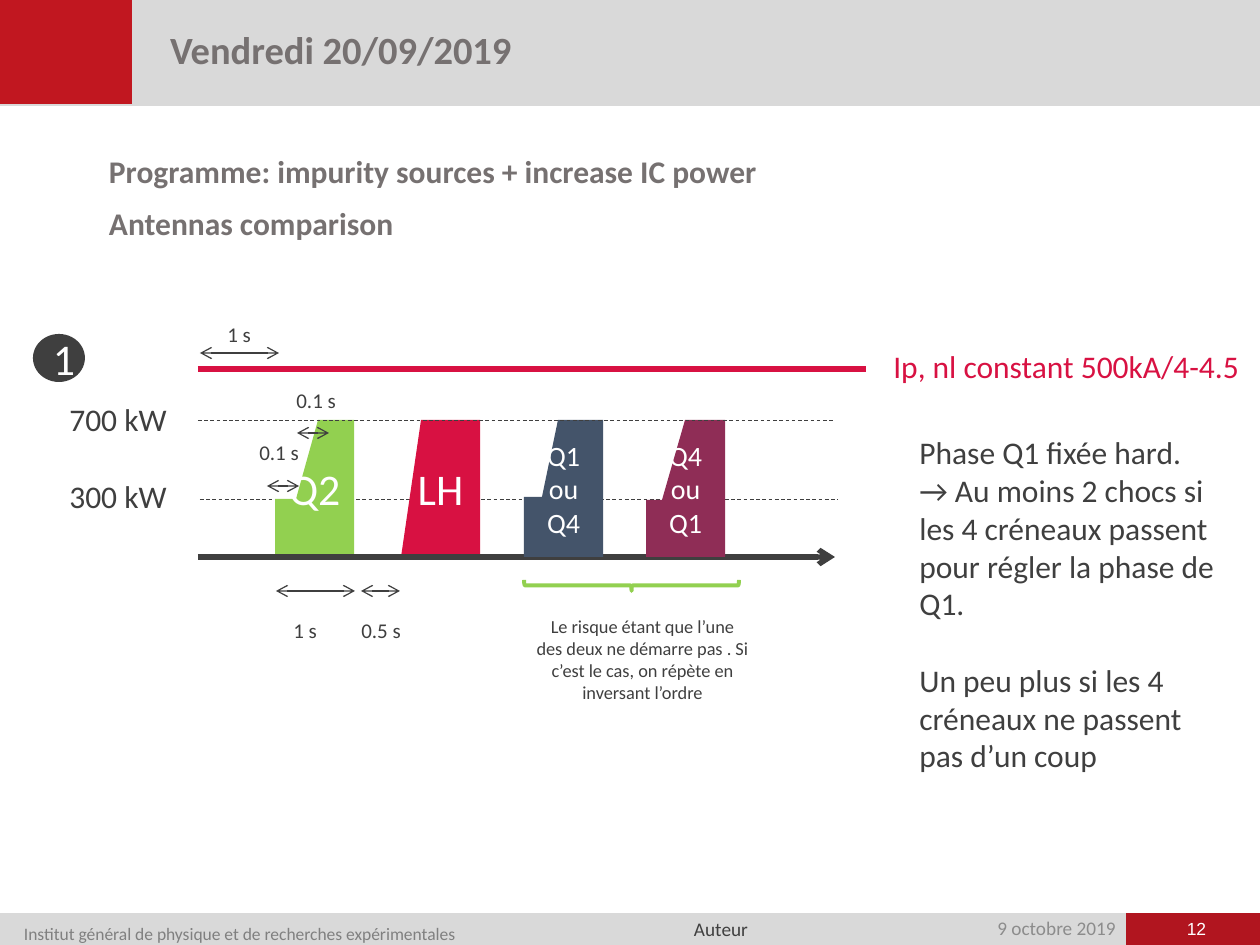
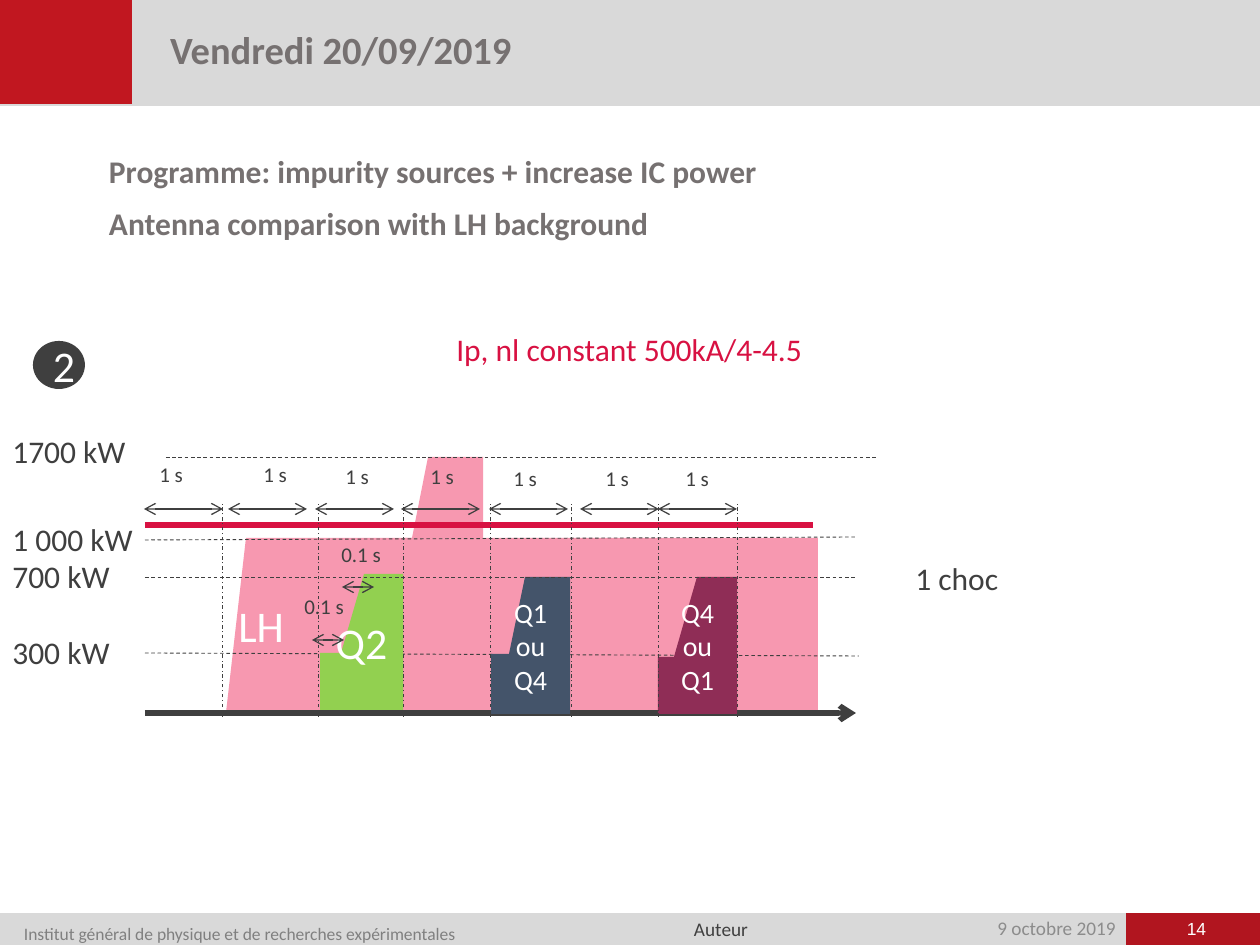
from pptx import Presentation
from pptx.dml.color import RGBColor
from pptx.enum.dml import MSO_LINE
from pptx.enum.shapes import MSO_CONNECTOR, MSO_SHAPE
from pptx.enum.text import MSO_ANCHOR, MSO_AUTO_SIZE, PP_ALIGN
from pptx.oxml.ns import qn
from pptx.util import Pt
from lxml import etree

DASH, DASH_DOT = MSO_LINE.DASH, MSO_LINE.DASH_DOT
STRAIGHT = MSO_CONNECTOR.STRAIGHT
RECT, OVAL, BRACE = MSO_SHAPE.RECTANGLE, MSO_SHAPE.OVAL, MSO_SHAPE.RIGHT_BRACE
LEFT, CENTER, RIGHT = PP_ALIGN.LEFT, PP_ALIGN.CENTER, PP_ALIGN.RIGHT
MIDDLE = MSO_ANCHOR.MIDDLE
FIXED, GROW = MSO_AUTO_SIZE.NONE, MSO_AUTO_SIZE.SHAPE_TO_FIT_TEXT

# Colours
WHITE = RGBColor(0xFF, 0xFF, 0xFF)
BAND_GREY = RGBColor(0xD9, 0xD9, 0xD9)
CORNER_RED = RGBColor(0xC1, 0x17, 0x20)
NUMBER_RED = RGBColor(0xB1, 0x15, 0x1F)
TITLE_GREY = RGBColor(0x76, 0x71, 0x71)
DATE_GREY = RGBColor(0x8C, 0x8C, 0x8C)
FOOTER_GREY = RGBColor(0x80, 0x80, 0x80)
INK = RGBColor(0x3F, 0x3F, 0x3F)
CRIMSON = RGBColor(0xD8, 0x11, 0x42)
PINK = RGBColor(0xF7, 0x98, 0xB0)
GREEN = RGBColor(0x92, 0xD0, 0x50)
SLATE = RGBColor(0x44, 0x54, 0x6A)
PLUM = RGBColor(0x8F, 0x2D, 0x56)

SCALE = 914400 / 126  # EMU in one px
FOOTER_INSETS = (10, 0)
HEADING_INSETS = (18, 9)
PULSE_HEIGHT = 137
SECOND = 79  # px along the time axis


def px(*lengths):
    return [round(length * SCALE) for length in lengths]


def set_all(target, values):
    for name, value in values.items():
        setattr(target, name, value)


def fill_text(frame, paragraphs, size, color, bold=False, font="Calibri",
              insets=None, **layout):
    """Write the paragraphs; layout holds paragraph format values."""
    frame.word_wrap = True
    if insets:
        side, top = px(*insets)
        set_all(frame, {"margin_left": side, "margin_right": side,
                        "margin_top": top, "margin_bottom": top})
    for index, words in enumerate(paragraphs):
        paragraph = frame.paragraphs[0] if index == 0 else frame.add_paragraph()
        set_all(paragraph, {"alignment": LEFT, **layout})
        run = paragraph.add_run()
        run.text = words
        set_all(run.font, {"size": Pt(size), "name": font, "bold": bold})
        run.font.color.rgb = color


def add_text(slide, box, paragraphs, size, color=INK, wrap=True, **options):
    frame = slide.shapes.add_textbox(*px(*box)).text_frame
    fill_text(frame, paragraphs, size, color, **options)
    set_all(frame, {"word_wrap": wrap, "auto_size": GROW})
    return frame


def paint(shape, color):
    shape.shadow.inherit = False
    shape.fill.solid()
    shape.fill.fore_color.rgb = color
    shape.line.fill.background()


def add_solid(slide, kind, box, color):
    shape = slide.shapes.add_shape(kind, *px(*box))
    paint(shape, color)
    return shape


def add_line(slide, start, end, width, color=INK, dash=None, heads=()):
    connector = slide.shapes.add_connector(STRAIGHT, *px(*start, *end))
    connector.line.width = Pt(width)
    connector.line.color.rgb = color
    if dash:
        connector.line.dash_style = dash
    outline = connector.line._get_or_add_ln()
    for end_tag in heads:
        etree.SubElement(outline, qn(end_tag), type="arrow")
    etree.SubElement(connector._element.spPr, qn("a:effectLst"))


def add_duration(slide, x, y, length):
    add_line(slide, (x, y), (x + length, y), 0.75,
             heads=("a:headEnd", "a:tailEnd"))


def add_small_label(slide, x, y, words):
    width = 49 if words == "1 s" else 66
    add_text(slide, (x, y, width, 38), [words], 12, wrap=False)


def add_power_label(slide, x, y, words, width=123):
    add_text(slide, (x, y, width, 50), [words], 18, wrap=False)


def add_plasma_label(slide, x, y):
    add_text(slide, (x, y, 375, 50), ["Ip, nl constant 500kA/4-4.5"], 18,
             CRIMSON, wrap=False)


def add_pulse(slide, x, y, width, step, ramp, color, words=(), size=16,
              height=PULSE_HEIGHT, align=CENTER):
    """Power pulse: flat up to step, then a ramp to full power."""
    step_x, step_y = step
    builder = slide.shapes.build_freeform(x, y + step_y, scale=SCALE)
    builder.add_line_segments([
        (x + step_x, y + step_y), (x + ramp, y), (x + width, y),
        (x + width, y + height), (x, y + height)])
    pulse = builder.convert_to_shape()
    paint(pulse, color)
    pulse.text_frame.vertical_anchor = MIDDLE
    fill_text(pulse.text_frame, words, size, WHITE, alignment=align)


def add_q2(slide, x, y, width, ramp):
    add_pulse(slide, x, y, width, (21, 79), ramp, GREEN, ["Q2"], 25)


def add_last_antennas(slide, q1_x, q4_x, y):
    add_pulse(slide, q1_x, y, SECOND, (18, 77), 34, SLATE, ["Q1", "ou Q4"])
    add_pulse(slide, q4_x, y, SECOND, (16, 80), 39, PLUM, ["Q4", "ou Q1"])


def add_ramp_times(slide, x, y):
    """Step and ramp durations beside the Q2 pulse."""
    add_duration(slide, x, y, 32)
    add_duration(slide, x + 30, y - 53, 32)
    add_small_label(slide, x + 17, y - 105, "0.1 s")
    add_small_label(slide, x - 20, y - 53, "0.1 s")


def add_axis_and_plasma(slide, x, axis_y, plasma_y, length):
    add_line(slide, (x, axis_y), (x + length, axis_y), 3,
             heads=("a:tailEnd",))
    add_line(slide, (x, plasma_y), (x + 668, plasma_y), 3, CRIMSON)


def add_number_marker(slide, y, number):
    marker = add_solid(slide, OVAL, (33, y, 52, 48), INK)
    marker.text_frame.vertical_anchor = MIDDLE
    fill_text(marker.text_frame, [number], 25, WHITE, alignment=CENTER)


def start_slide(deck, number, subject):
    """Bands, footer, title and programme shared by the slides."""
    slide = deck.slides.add_slide(deck.slide_layouts[5])
    for box, color in (((0, 913, 1260, 32), BAND_GREY),
                       ((0, 0, 1260, 106), BAND_GREY),
                       ((1126, 913, 134, 32), NUMBER_RED),
                       ((0, 0, 132, 104), CORNER_RED)):
        add_solid(slide, RECT, box, color)

    # Footer
    add_text(slide, (908, 919, 218, 22), ["9 octobre 2019"], 11, DATE_GREY,
             insets=FOOTER_INSETS, alignment=RIGHT, line_spacing=0.9,
             space_before=Pt(7.5))
    add_text(slide, (14, 915, 570, 26),
             ["Institut général de physique et de recherches expérimentales"],
             10, FOOTER_GREY, insets=FOOTER_INSETS, line_spacing=1.4)
    add_text(slide, (684, 917, 100, 24), ["Auteur"], 11,
             insets=FOOTER_INSETS)
    add_text(slide, (1153, 918, 87, 22), [number], 10, WHITE, font="Arial",
             insets=FOOTER_INSETS, alignment=CENTER)

    # Title, raised above the bands
    title = slide.shapes.title
    slide.shapes._spTree.append(title._element)
    set_all(title, dict(zip(("left", "top", "width", "height"),
                            px(152, 27, 606, 52))))
    fill_text(title.text_frame, ["Vendredi 20/09/2019"], 22, TITLE_GREY,
              bold=True, insets=(18, 6), line_spacing=0.8)
    set_all(title.text_frame, {"vertical_anchor": MIDDLE, "auto_size": FIXED})

    add_text(slide, (91, 147, 1092, 105),
             ["Programme: impurity sources + increase IC power", subject],
             18, TITLE_GREY, bold=True, insets=HEADING_INSETS,
             line_spacing=0.9, space_before=Pt(10.5))
    return slide


def build_antennas(deck):
    slide = start_slide(deck, "12", "Antennas comparison")
    add_number_marker(slide, 334, "1")

    # Power levels and pulses
    add_line(slide, (200, 499), (838, 499), 0.5, dash=DASH)
    add_q2(slide, 275, 420, SECOND, 43)
    add_pulse(slide, 401, 420, SECOND, (0, PULSE_HEIGHT), 20, CRIMSON,
              ["LH"], 25)
    add_axis_and_plasma(slide, 198, 557, 369, 637)
    add_last_antennas(slide, 524, 646, 420)
    add_line(slide, (198, 420), (835, 420), 0.5, dash=DASH)
    add_power_label(slide, 57, 394, "700 kW")
    add_power_label(slide, 57, 471, "300 kW")
    add_plasma_label(slide, 881, 341)

    # Durations
    for x, y, length in ((361, 591, 39), (276, 591, SECOND), (200, 353, SECOND)):
        add_duration(slide, x, y, length)
    for x, y, words in ((349, 611, "0.5 s"), (281, 611, "1 s"),
                        (215, 315, "1 s")):
        add_small_label(slide, x, y, words)
    add_ramp_times(slide, 267, 486)

    # Risk under the last two pulses
    brace = slide.shapes.add_shape(BRACE, *px(626, 478, 11, 215))
    brace.rotation = 90
    brace.shadow.inherit = False
    brace.fill.background()
    brace.line.color.rgb = GREEN
    brace.line.width = Pt(2.25)
    add_text(slide, (524, 609, 237, 102),
             ["Le risque étant que l’une des deux ne démarre pas . "
              "Si c’est le cas, on répète en inversant l’ordre"],
             10.5, alignment=CENTER)

    # Remarks
    remarks = add_text(
        slide, (907, 427, 330, 357),
        ["Phase Q1 fixée hard.",
         "→ Au moins 2 chocs si les 4 créneaux passent pour régler "
         "la phase de Q1.",
         "Un peu plus si les 4 créneaux ne passent pas d’un coup"], 18)
    remarks.paragraphs[2].space_before = Pt(22)


def build_lh_background(deck):
    slide = start_slide(deck, "14", "Antenna comparison with LH background")
    add_number_marker(slide, 341, "2")

    # LH background and antenna pulses
    add_pulse(slide, 403, 457, 80, (9, 81), 25, PINK)
    add_pulse(slide, 226, 538, 592, (0, 175), 20, PINK, ["LH"], 25,
              height=175, align=LEFT)
    add_line(slide, (145, 653), (859, 656), 0.5, dash=DASH)
    add_q2(slide, 320, 574, 83, 44)
    add_axis_and_plasma(slide, 145, 713, 525, 711)
    add_last_antennas(slide, 491, 658, 577)

    # Power levels
    for start, end in (((145, 577), (856, 577)), ((145, 540), (856, 537)),
                       ((166, 457), (877, 457))):
        add_line(slide, start, end, 0.5, dash=DASH)
    for y, words, width in ((426, "1700 kW", 140), (514, "1 000 kW", 147),
                            (551, "700 kW", 123), (627, "300 kW", 123)):
        add_power_label(slide, 0, y, words, width)
    add_plasma_label(slide, 444, 324)
    add_text(slide, (903, 553, 330, 50), ["1 choc"], 18)

    # One-second phases and their limits
    for arrow_x, label_x, label_y in (
            (144, 147, 455), (228, 251, 455), (315, 333, 457),
            (401, 418, 457), (489, 501, 459), (580, 593, 459),
            (658, 673, 459)):
        add_duration(slide, arrow_x, 509, SECOND)
        add_small_label(slide, label_x, label_y, "1 s")
    add_ramp_times(slide, 312, 640)
    for x in (222, 318, 403, 490, 571, 658, 737):
        add_line(slide, (x, 717), (x, 504), 0.5, dash=DASH_DOT)


def main():
    deck = Presentation()
    deck.slide_width, deck.slide_height = px(1260, 945)
    build_antennas(deck)
    build_lh_background(deck)
    deck.save("out.pptx")


if __name__ == "__main__":
    main()
